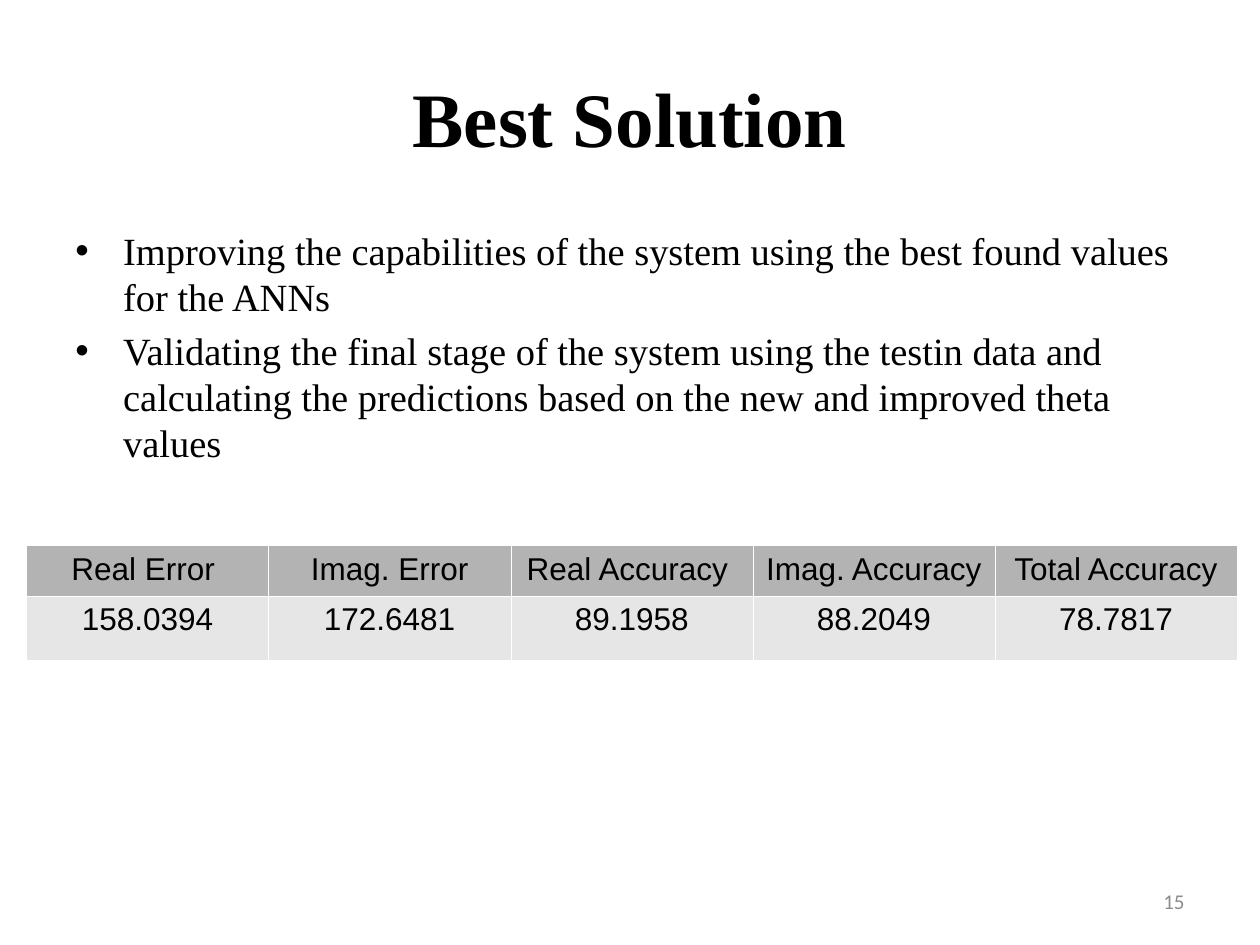
from lxml import etree
from pptx import Presentation
from pptx import util as u
from pptx.dml.color import RGBColor
from pptx.enum import text
from pptx.oxml import ns

PX = u.Inches(1) // 100  # 100 px to the inch
BLACK = RGBColor(0x00, 0x00, 0x00)
GREY = RGBColor(0x8C, 0x8C, 0x8C)
HEADER_FILL = RGBColor(0xB3, 0xB3, 0xB3)
VALUE_FILL = RGBColor(0xE6, 0xE6, 0xE6)
WHITE = RGBColor(0xFF, 0xFF, 0xFF)

SERIF, SANS, NUMBER_FONT = "Times New Roman", "Arial", "Calibri"
ALIGN, ANCHOR = text.PP_ALIGN, text.MSO_ANCHOR

BULLETS = [
    "Improving the capabilities of the system using the best found values for the ANNs",
    "Validating the final stage of the system using the testin data and "
    "calculating the predictions based on the new and improved theta values",
]
RESULTS = [
    ["Real Error ", "Imag. Error", "Real Accuracy ", "Imag. Accuracy", "Total Accuracy"],
    ["158.0394", "172.6481", "89.1958", "88.2049", "78.7817"],
]


def write(para, words, font=SERIF, size=22, color=BLACK, bold=False,
          align=ALIGN.LEFT, before=0, after=0):
    para.alignment = align
    para.space_before, para.space_after = u.Pt(before), u.Pt(after)
    span = para.add_run()
    span.text = words
    span.font.name, span.font.size = font, u.Pt(size)
    span.font.bold, span.font.color.rgb = bold, color


def add_bullet(para, indent):
    """Give the paragraph a round bullet and a hanging indent."""
    props = para._p.get_or_add_pPr()
    props.set("marL", str(indent))
    props.set("indent", str(-indent))
    etree.SubElement(props, ns.qn("a:buFont")).set("typeface", SANS)
    etree.SubElement(props, ns.qn("a:buChar")).set("char", "•")


def add_borders(cell, color, width):
    """Draw all four sides; border elements must come before the cell's fill."""
    props = cell._tc.get_or_add_tcPr()
    for index, side in enumerate(("lnL", "lnR", "lnT", "lnB")):
        line = etree.Element(ns.qn("a:" + side), w=str(width))
        fill = etree.SubElement(line, ns.qn("a:solidFill"))
        etree.SubElement(fill, ns.qn("a:srgbClr")).set("val", str(color))
        props.insert(index, line)


class SlideBuilder:
    """Places elements, measured in px, on the current slide."""

    def __init__(self, deck):
        self.slide = deck.slides.add_slide(deck.slide_layouts[5])

    def title(self, words, left, top, width, height):
        box = self.slide.shapes.title
        box.left, box.top, box.width, box.height = (
            n * PX for n in (left, top, width, height))
        box.text_frame.vertical_anchor = ANCHOR.MIDDLE
        write(box.text_frame.paragraphs[0], words, size=44, bold=True, align=ALIGN.CENTER)

    def text_box(self, lines, left, top, width, height, anchor=ANCHOR.TOP,
                 bullet_indent=0, **style):
        box = self.slide.shapes.add_textbox(*(n * PX for n in (left, top, width, height)))
        frame = box.text_frame
        frame.word_wrap, frame.vertical_anchor = True, anchor
        for index, words in enumerate(lines):
            para = frame.add_paragraph() if index else frame.paragraphs[0]
            write(para, words, **style)
            if bullet_indent:
                add_bullet(para, bullet_indent * PX)

    def table(self, rows, left, top, width, row_heights):
        """Build a table with equal columns and a darker first row."""
        area = (n * PX for n in (left, top, width, sum(row_heights)))
        table = self.slide.shapes.add_table(len(rows), len(rows[0]), *area).table
        for r, (values, height) in enumerate(zip(rows, row_heights)):
            table.rows[r].height = height * PX
            spacing = 0 if r else 2.8
            for c, words in enumerate(values):
                cell = table.cell(r, c)
                cell.fill.solid()
                cell.fill.fore_color.rgb = VALUE_FILL if r else HEADER_FILL
                add_borders(cell, WHITE, u.Pt(0.06))
                write(cell.text_frame.paragraphs[0], words, font=SANS, size=18,
                      align=ALIGN.CENTER, before=spacing, after=spacing)


def main():
    deck = Presentation()
    deck.slide_width, deck.slide_height = 1000 * PX, 750 * PX
    page = SlideBuilder(deck)
    page.title("Best Solution", 50, 30, 900, 125)
    page.text_box(BULLETS, 50, 175, 900, 495, bullet_indent=38, before=4.4)
    page.table(RESULTS, 21, 433, 961, row_heights=(40, 51))
    page.text_box(["15"], 717, 695, 233, 40, anchor=ANCHOR.MIDDLE,
                  font=NUMBER_FONT, size=12, color=GREY, align=ALIGN.RIGHT)
    deck.save("out.pptx")


if __name__ == "__main__":
    main()
